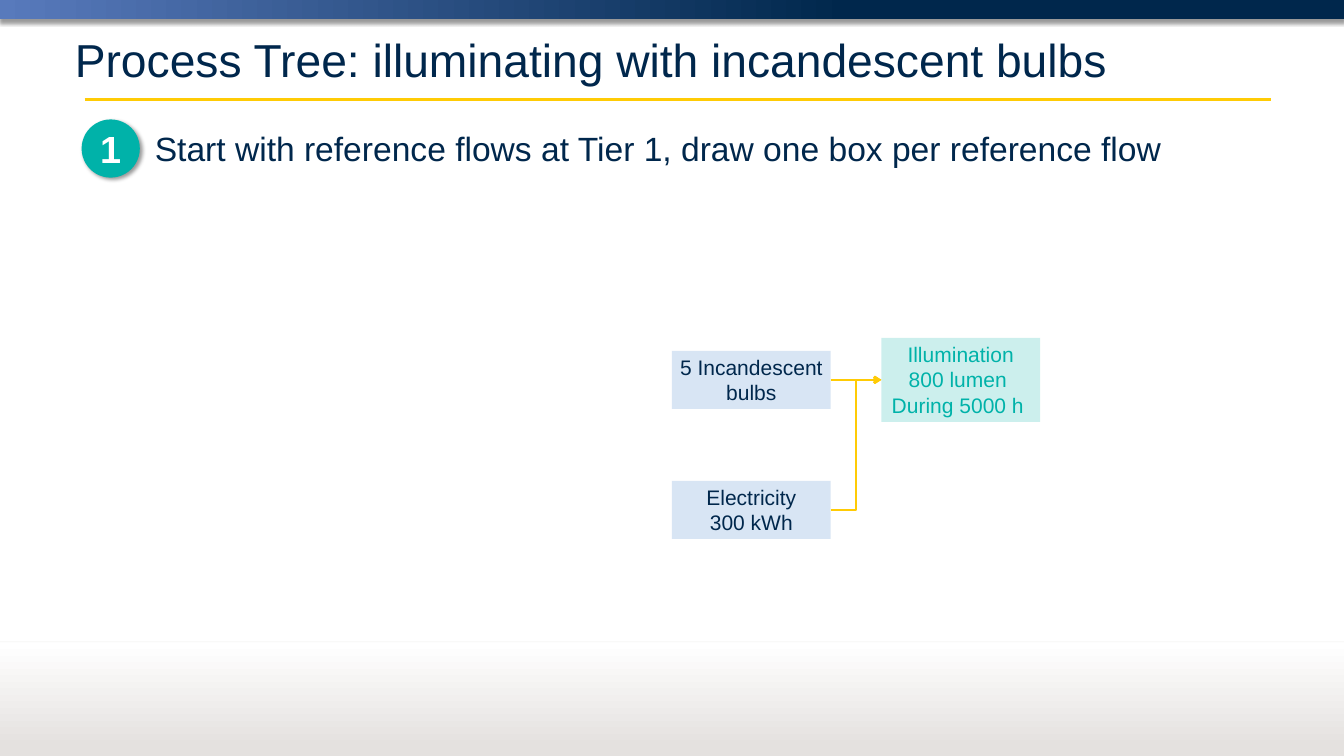
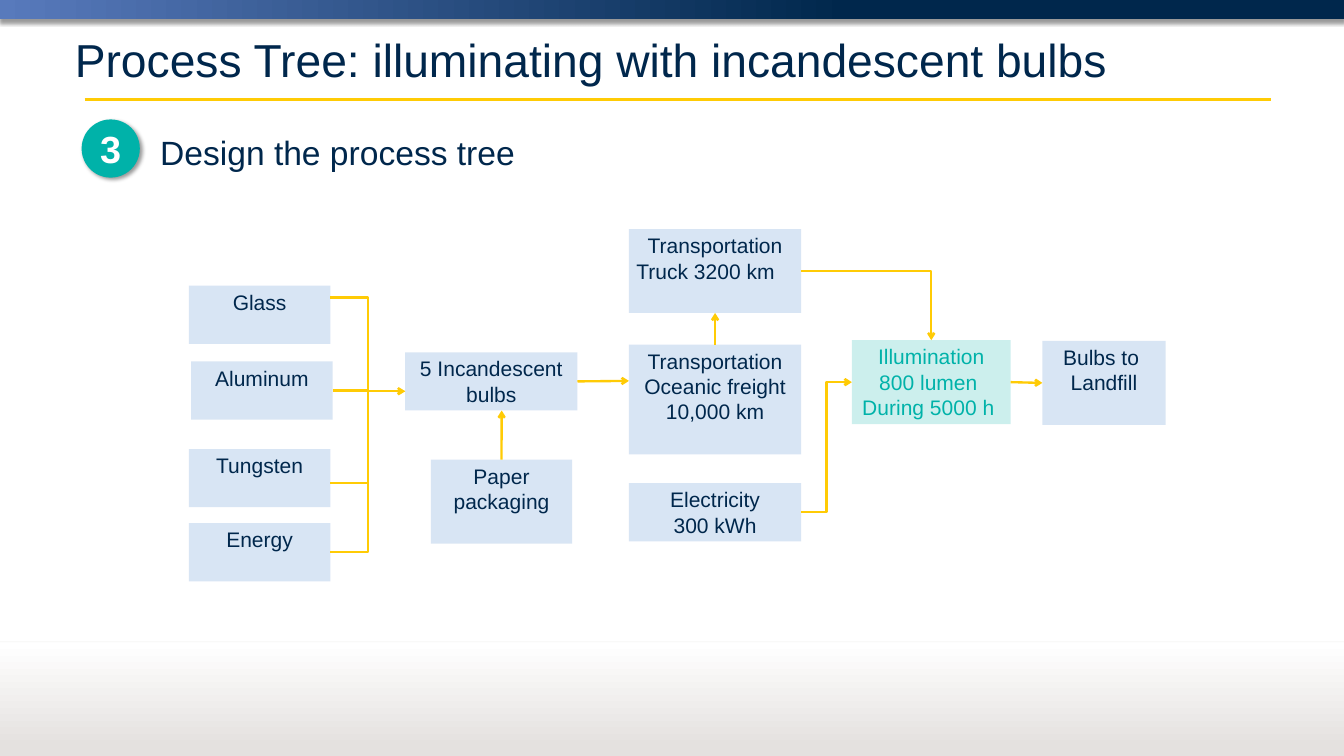
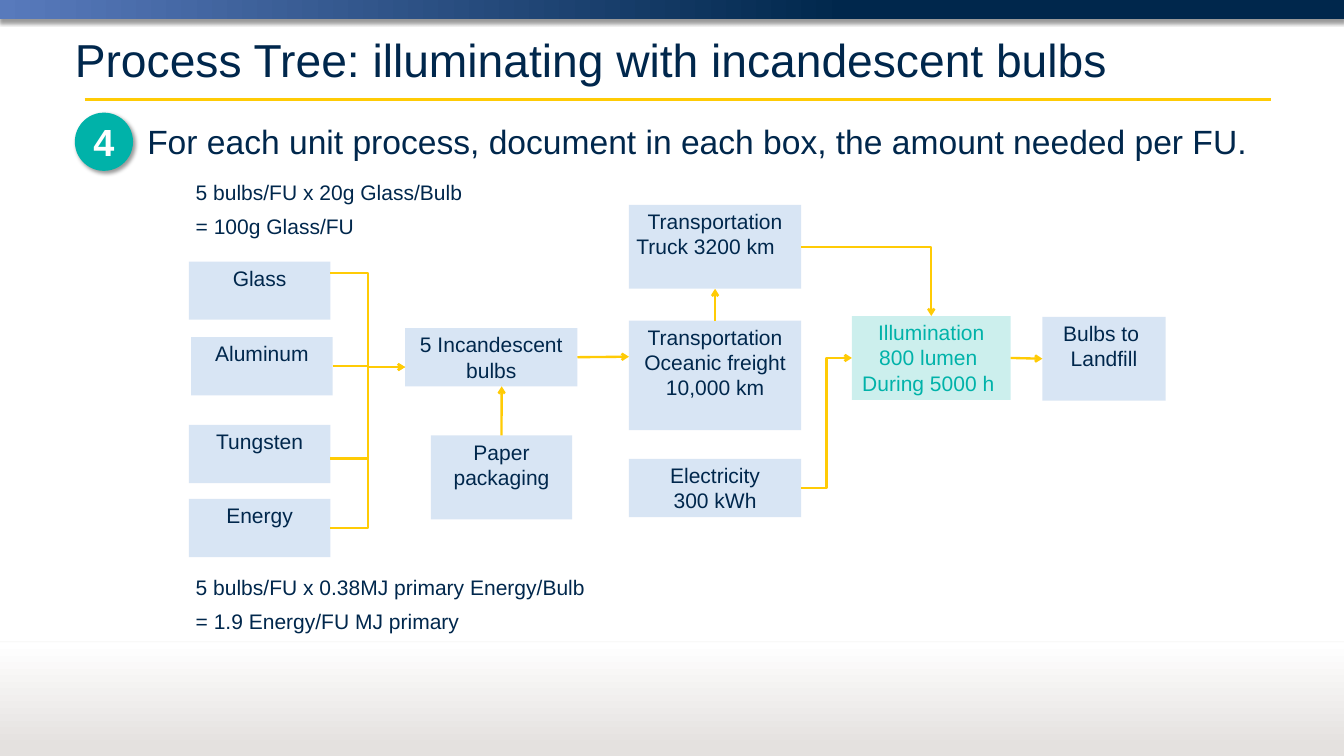
from lxml import etree
from pptx import Presentation
from pptx.dml.color import RGBColor
from pptx.enum import shapes as kinds, text as txt
from pptx.oxml import ns
from pptx.util import Inches, Pt

FONT = "Arial"
COLOR = {"navy": "00274C", "sky": "587ABC", "blue": "407EC9", "teal": "00B2A9",
         "maize": "FFCB05", "stone": "E4E1DF", "white": "FFFFFF", "black": "000000"}
WIDTH, HEIGHT = 17.78, 10
TITLE = "Process Tree: illuminating with incandescent bulbs"
LIGHT = ["Illumination", "800 lumen ", "During 5000 h "]
POWER = ["Electricity", "300 kWh"]
BULBS = ["5 Incandescent bulbs"]
FLUSH = {"Truck 3200 km"}  # lines set to the left inside a centred box

# name: (left, top, width, height, lines)
START = {
    "light": (11.66, 4.47, 2.1, 1.11, LIGHT),
    "power": (8.89, 6.36, 2.1, 0.77, POWER),
    "bulbs": (8.89, 4.64, 2.1, 0.77, BULBS),
}
TREE = {
    "light": (11.27, 4.5, 2.1, 1.11, LIGHT),
    "power": (8.32, 6.39, 2.28, 0.77, POWER),
    "bulbs": (5.36, 4.66, 2.28, 0.77, BULBS),
    "truck": (8.32, 3.03, 2.28, 1.11, ["Transportation", "Truck 3200 km"]),
    "ocean": (8.32, 4.56, 2.28, 1.45, ["Transportation", "Oceanic freight 10,000 km"]),
    "paper": (5.7, 6.08, 1.87, 1.11, ["Paper packaging"]),
    "metal": (2.53, 4.78, 1.87, 0.77, ["Aluminum"]),
    "glass": (2.5, 3.78, 1.87, 0.77, ["Glass"]),
    "wire": (2.5, 5.94, 1.87, 0.77, ["Tungsten"]),
    "land": (13.79, 4.51, 1.63, 1.11, ["Bulbs to ", "Landfill"]),
    "fuel": (2.5, 6.92, 1.87, 0.77, ["Energy"]),
}

# (kind, from, to, head); a port is a box and a share of its width and height
IN = ("light", 0, 0.5)
FEED = ("bulbs", 0, 0.67)
POWER_LINK = ("bent", ("power", 1, 0.5), IN, "arrow")
START_LINKS = [POWER_LINK, ("line", ("bulbs", 1, 0.5), IN, "arrow")]
TREE_LINKS = [
    POWER_LINK,
    ("line", ("bulbs", 1, 0.5), ("ocean", 0, 0.33), "arrow"),
    ("line", ("ocean", 0.5, 0), ("truck", 0.5, 1), "arrow"),
    ("corner", ("truck", 1, 0.5), ("light", 0.5, 0), "arrow"),
    ("line", ("paper", 0.5, 0), ("bulbs", 0.56, 1), "arrow"),
    ("bent", ("glass", 1, 0.2), FEED, "arrow"),
    ("line", ("light", 1, 0.5), ("land", 0, 0.5), "arrow"),
    ("bent", ("fuel", 1, 0.5), FEED, "triangle"),
    ("stub", ("wire", 1, 0.58), FEED, None),
    ("stub", ("metal", 1, 0.5), FEED, None),
]
TRUNK = 4.86  # where the inputs of the bulbs meet

NOTES = [
    (2.33, 3.76, "5 bulbs/FU x 20g Glass/Bulb"),
    (2.78, 2.31, "= 100g Glass/FU"),
    (7.55, 5.39, "5 bulbs/FU x 0.38MJ primary Energy/Bulb"),
    (8, 3.79, "= 1.9 Energy/FU MJ primary"),
]
SLIDES = [
    dict(step="1", dot=(1.08, 1.58), at=(1.95, 1.64, 14.65, 0.64),
         text="Start with reference flows at Tier 1, draw one box per reference flow",
         boxes=START, links=START_LINKS, rise=0, notes=[]),
    dict(step="3", dot=(1.08, 1.58), at=(2.02, 1.69, 14.29, 0.64),
         text="Design the process tree",
         boxes=TREE, links=TREE_LINKS, rise=0, notes=[]),
    dict(step="4", dot=(0.99, 1.49), at=(1.85, 1.55, 15.7, 0.64),
         text="For each unit process, document in each box, the amount needed per FU.",
         boxes=TREE, links=TREE_LINKS, rise=0.32, notes=NOTES),
]


def rgb(name):
    return RGBColor.from_string(COLOR[name])


def sub(parent, tag, **attrs):
    node = etree.SubElement(parent, ns.qn(tag))
    for key, val in attrs.items():
        node.set(key, str(val))
    return node


def fade(node, share):
    """Give the first colour under node an opacity in percent."""
    sub(node.xpath(".//a:srgbClr")[0], "a:alpha", val=share * 1000)


def shade(shape, alpha, blur, dist, angle):
    """Cast a black outer shadow."""
    props = shape.element.spPr
    for old in props.findall(ns.qn("a:effectLst")):
        props.remove(old)
    cast = sub(sub(props, "a:effectLst"), "a:outerShdw", blurRad=Pt(blur),
               dist=Pt(dist), dir=angle * 60000, algn="ctr", rotWithShape=0)
    sub(sub(cast, "a:srgbClr", val=COLOR["black"]), "a:alpha", val=alpha * 1000)


def write(frame, lines, size, color, align, bold=False, anchor=txt.MSO_ANCHOR.TOP, wrap=True):
    frame.word_wrap = wrap
    frame.auto_size = txt.MSO_AUTO_SIZE.NONE
    frame.vertical_anchor = anchor
    for i, line in enumerate(lines):
        para = frame.add_paragraph() if i else frame.paragraphs[0]
        para.alignment = txt.PP_ALIGN.LEFT if line in FLUSH else align
        run = para.add_run()
        run.text = line
        font = run.font
        font.name, font.size, font.bold = FONT, Pt(size), bold
        font.color.rgb = rgb(color)


def form(slide, kind, at, color=None):
    shape = slide.shapes.add_shape(kind, *map(Inches, at))
    shape.shadow.inherit = False
    shape.line.fill.background()
    if color:
        shape.fill.solid()
        shape.fill.fore_color.rgb = rgb(color)
    return shape


def label(slide, at, line, size, wrap=True):
    box = slide.shapes.add_textbox(*map(Inches, at))
    write(box.text_frame, [line], size, "navy", txt.PP_ALIGN.LEFT, wrap=wrap)


def rule(slide, start, end, color, width, kind="line", head=None):
    style = kinds.MSO_CONNECTOR.ELBOW if kind in ("bent", "corner") else kinds.MSO_CONNECTOR.STRAIGHT
    line = slide.shapes.add_connector(style, *map(Inches, (*start, *end)))
    line.line.color.rgb = rgb(color)
    line.line.width = Pt(width)
    props = line.element.spPr
    if kind == "corner":
        props.find(ns.qn("a:prstGeom")).set("prst", "bentConnector2")
    if head:
        sub(props.find(ns.qn("a:ln")), "a:tailEnd", type=head)
    sub(props, "a:effectLst")
    return line


def band(slide, top, height, stops, angle):
    shape = form(slide, kinds.MSO_SHAPE.RECTANGLE, (0, top, WIDTH, height))
    shape.fill.gradient()
    shape.fill.gradient_angle = angle
    for stop, (place, color) in zip(shape.fill.gradient_stops, stops):
        stop.position = place
        stop.color.rgb = rgb(color)
    return shape


def dress(slide, master):
    """Draw the shared bands and rules, then move them to the master."""
    top = band(slide, 0, 0.25, [(0, "sky"), (0.63, "navy")], 0)
    shade(top, 40, 4, 3, 90)
    under = rule(slide, (1.12, 1.32), (16.81, 1.32), "maize", 3)
    foot = band(slide, 8.5, 1.5, [(0.08, "stone"), (1, "white")], 90)
    edge = rule(slide, (0, 8.49), (WIDTH, 8.49), "stone", 0.75)
    fade(edge.element.spPr, 30)
    shade(edge, 38, 3.1, 1.6, 90)
    tree = master.element.cSld.spTree
    for i, part in enumerate((top, under, foot, edge)):
        part.element.xpath(".//p:cNvPr")[0].set("id", str(100 + i))
        tree.insert(2 + i, part.element)


def port(boxes, spot, rise):
    name, across, down = spot
    left, top, wide, high, _ = boxes[name]
    return left + across * wide, top + down * high - rise


def chart_tree(slide, boxes, links, rise):
    for name, (left, top, wide, high, lines) in boxes.items():
        fill, ink = ("teal", "teal") if name == "light" else ("blue", "navy")
        box = form(slide, kinds.MSO_SHAPE.RECTANGLE, (left, top - rise, wide, high), fill)
        fade(box.element.spPr, 20)
        write(box.text_frame, lines, 20, ink, txt.PP_ALIGN.CENTER)
    for kind, tail, tip, head in links:
        start, end = port(boxes, tail, rise), port(boxes, tip, rise)
        if kind == "stub":
            end = TRUNK, start[1]
        rule(slide, start, end, "maize", 2.25, kind, head)


def fill_slide(slide, data):
    write(slide.shapes.title.text_frame, [TITLE], 44, "navy", txt.PP_ALIGN.LEFT,
          anchor=txt.MSO_ANCHOR.MIDDLE)
    chart_tree(slide, data["boxes"], data["links"], data["rise"])
    for top, wide, line in data["notes"]:
        label(slide, (2.49, top, wide, 0.44), line, 20, wrap=False)
    label(slide, data["at"], data["text"], 32)
    dot = form(slide, kinds.MSO_SHAPE.OVAL, (*data["dot"], 0.77, 0.77), "teal")
    shade(dot, 40, 4, 3, 45)
    write(dot.text_frame, [data["step"]], 36, "white", txt.PP_ALIGN.CENTER,
          bold=True, anchor=txt.MSO_ANCHOR.MIDDLE)


def main():
    deck = Presentation()
    deck.slide_width, deck.slide_height = Inches(WIDTH), Inches(HEIGHT)
    layout = deck.slide_layouts.get_by_name("Title Only")
    head = layout.placeholders[0]
    head.left, head.top, head.width, head.height = map(Inches, (0.89, 0.31, 16, 0.95))
    for i, data in enumerate(SLIDES):
        slide = deck.slides.add_slide(layout)
        if i == 0:
            dress(slide, deck.slide_master)
        fill_slide(slide, data)
    deck.save("out.pptx")


if __name__ == "__main__":
    main()
